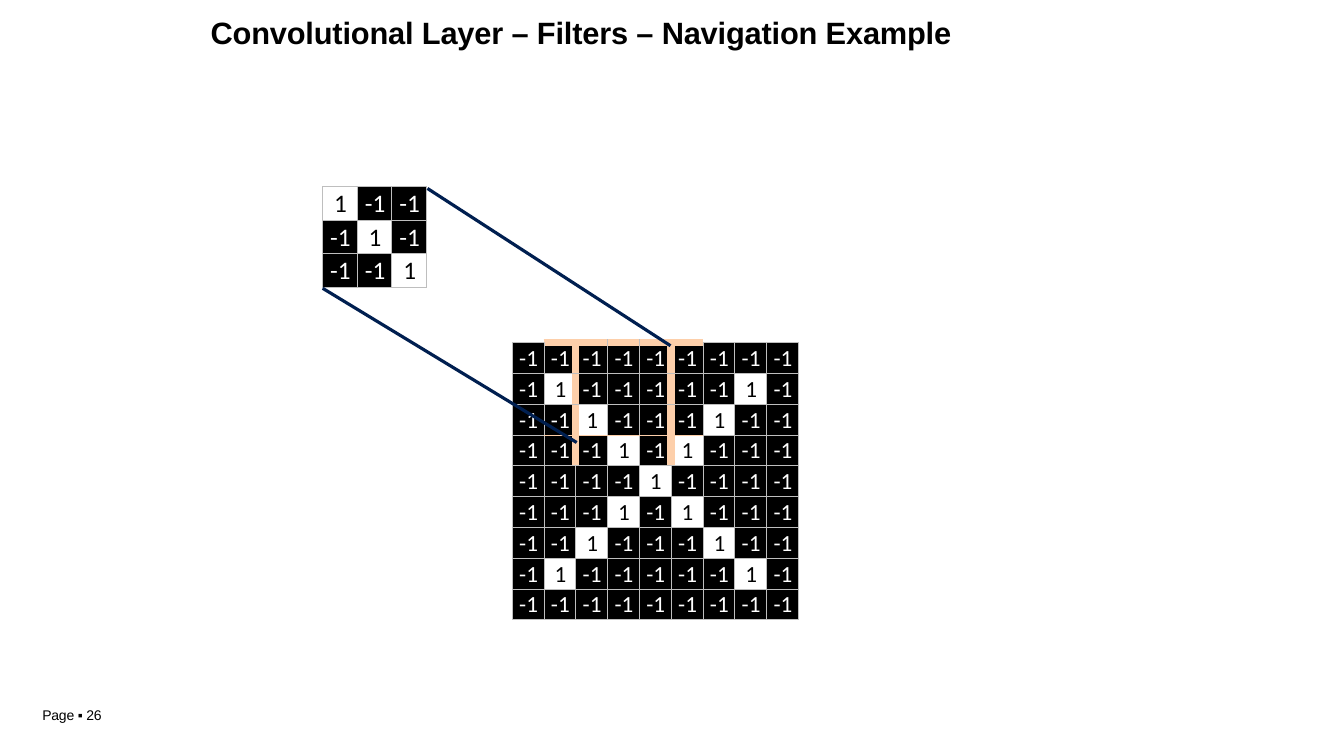
"""Build the slide on a convolution filter moving over an image grid."""
from dataclasses import dataclass, field

from lxml import etree
from pptx import Presentation, util as u
from pptx.dml.color import RGBColor
from pptx.enum import shapes, text
from pptx.oxml.ns import qn

PX = 9144
BLACK, WHITE, NAVY, GREY, PEACH = "000000", "FFFFFF", "001F50", "BEBEBE", "FDCFAA"
THIN, THICK = 0.75, 6


@dataclass(frozen=True)
class Border:
    """Colour and width in points of one cell edge."""
    color: str = GREY
    width: float = THIN


@dataclass(frozen=True)
class Grid:
    """A square grid of 1 and -1, with the edges that stand out."""
    left: int
    top: int
    width: int
    height: int
    count: int
    size: float
    ones: set[tuple[int, int]]
    row_edges: dict[tuple[int, int], Border] = field(default_factory=dict)
    column_edges: dict[tuple[int, int], Border] = field(default_factory=dict)


@dataclass(frozen=True)
class Line:
    """A straight line between two points."""
    x1: int
    y1: int
    x2: int
    y2: int


@dataclass(frozen=True)
class Label:
    """A text box with its format."""
    words: str
    left: int
    top: int
    width: int
    height: int
    size: float
    bold: bool = False
    margin_top: int = 0


WINDOW_COLUMNS = range(1, 6)
WINDOW_ROWS = range(4)
FILTER = Grid(320, 185, 103, 100, 3, 18, {(i, i) for i in range(3)})
IMAGE = Grid(
    508, 340, 284, 275, 9, 16.5,
    {(row, column) for row in range(1, 8) for column in (row, 8 - row)},
    row_edges={(edge, column): Border(PEACH, width)
               for edge, width in ((0, THICK), (3, THIN)) for column in WINDOW_COLUMNS},
    column_edges={(row, edge): Border(PEACH, THICK)
                  for row in WINDOW_ROWS for edge in (2, 5)},
)
LINES = [Line(665, 343, 424, 187), Line(572, 439, 320, 286)]
LABELS = [
    Label("Convolutional Layer – Filters – Navigation Example",
          208, 12, 748, 38, 22, bold=True, margin_top=2),
    Label("Page ▪ 26", 41, 701, 67, 17, 10),
]


def px(length: int) -> u.Emu:
    """Turn px into EMU."""
    return u.Emu(length * PX)


def rgb(color: str) -> RGBColor:
    """Turn a hex string into a colour."""
    return RGBColor.from_string(color)


def write(frame, words: str, *, size: float, font: str, color: str = BLACK,
          bold: bool = False, align=text.PP_ALIGN.LEFT, tracking: int = 0) -> None:
    """Write one formatted paragraph; tracking is in hundredths of a point."""
    paragraph = frame.paragraphs[0]
    paragraph.alignment = align
    run = paragraph.add_run()
    run.text = words
    run.font.size = u.Pt(size)
    run.font.name = font
    run.font.bold = bold
    run.font.color.rgb = rgb(color)
    run._r.get_or_add_rPr().set("spc", str(tracking))


def set_border(cell, side: str, border: Border) -> None:
    """Draw one side of a cell: L, R, T or B."""
    properties = cell._tc.get_or_add_tcPr()
    line = etree.SubElement(properties, qn(f"a:ln{side}"), w=str(u.Pt(border.width)))
    fill = etree.SubElement(line, qn("a:solidFill"))
    etree.SubElement(fill, qn("a:srgbClr"), val=border.color)


def draw_grid(slide, grid: Grid) -> None:
    """Draw a grid as a table."""
    frame = slide.shapes.add_table(grid.count, grid.count, px(grid.left), px(grid.top),
                                   px(grid.width), px(grid.height))
    table = frame.table
    table.first_row = table.horz_banding = False
    for row in range(grid.count):
        for column in range(grid.count):
            cell = table.cell(row, column)
            is_one = (row, column) in grid.ones
            cell.margin_left = px(1)
            cell.margin_right = cell.margin_bottom = 0
            cell.margin_top = px(2)
            plain = Border()
            set_border(cell, "L", grid.column_edges.get((row, column), plain))
            set_border(cell, "R", grid.column_edges.get((row, column + 1), plain))
            set_border(cell, "T", grid.row_edges.get((row, column), plain))
            set_border(cell, "B", grid.row_edges.get((row + 1, column), plain))
            cell.fill.solid()
            cell.fill.fore_color.rgb = rgb(WHITE if is_one else BLACK)
            write(cell.text_frame, "1" if is_one else "-1", size=grid.size,
                  font="Calibri", color=BLACK if is_one else WHITE,
                  align=text.PP_ALIGN.CENTER, tracking=0 if is_one else 10)


def draw_line(slide, line: Line) -> None:
    """Draw a line from the filter to its place on the image."""
    connector = slide.shapes.add_connector(
        shapes.MSO_CONNECTOR.STRAIGHT, px(line.x1), px(line.y1), px(line.x2), px(line.y2))
    connector.line.color.rgb = rgb(NAVY)
    connector.line.width = u.Pt(2.28)
    etree.SubElement(connector._element.spPr, qn("a:effectLst"))


def draw_label(slide, label: Label) -> None:
    """Draw a text box."""
    shape = slide.shapes.add_textbox(px(label.left), px(label.top),
                                     px(label.width), px(label.height))
    frame = shape.text_frame
    frame.word_wrap = True
    frame.margin_left = px(1)
    frame.margin_right = frame.margin_bottom = 0
    frame.margin_top = px(label.margin_top)
    write(frame, label.words, size=label.size, font="Arial", bold=label.bold, tracking=-10)


def main() -> None:
    """Build and save the slide."""
    presentation = Presentation()
    presentation.slide_width = px(1333)
    presentation.slide_height = px(750)
    slide = presentation.slides.add_slide(presentation.slide_layouts[6])
    for grid in (FILTER, IMAGE):
        draw_grid(slide, grid)
    for line in LINES:
        draw_line(slide, line)
    for label in LABELS:
        draw_label(slide, label)
    presentation.save("out.pptx")


if __name__ == "__main__":
    main()
